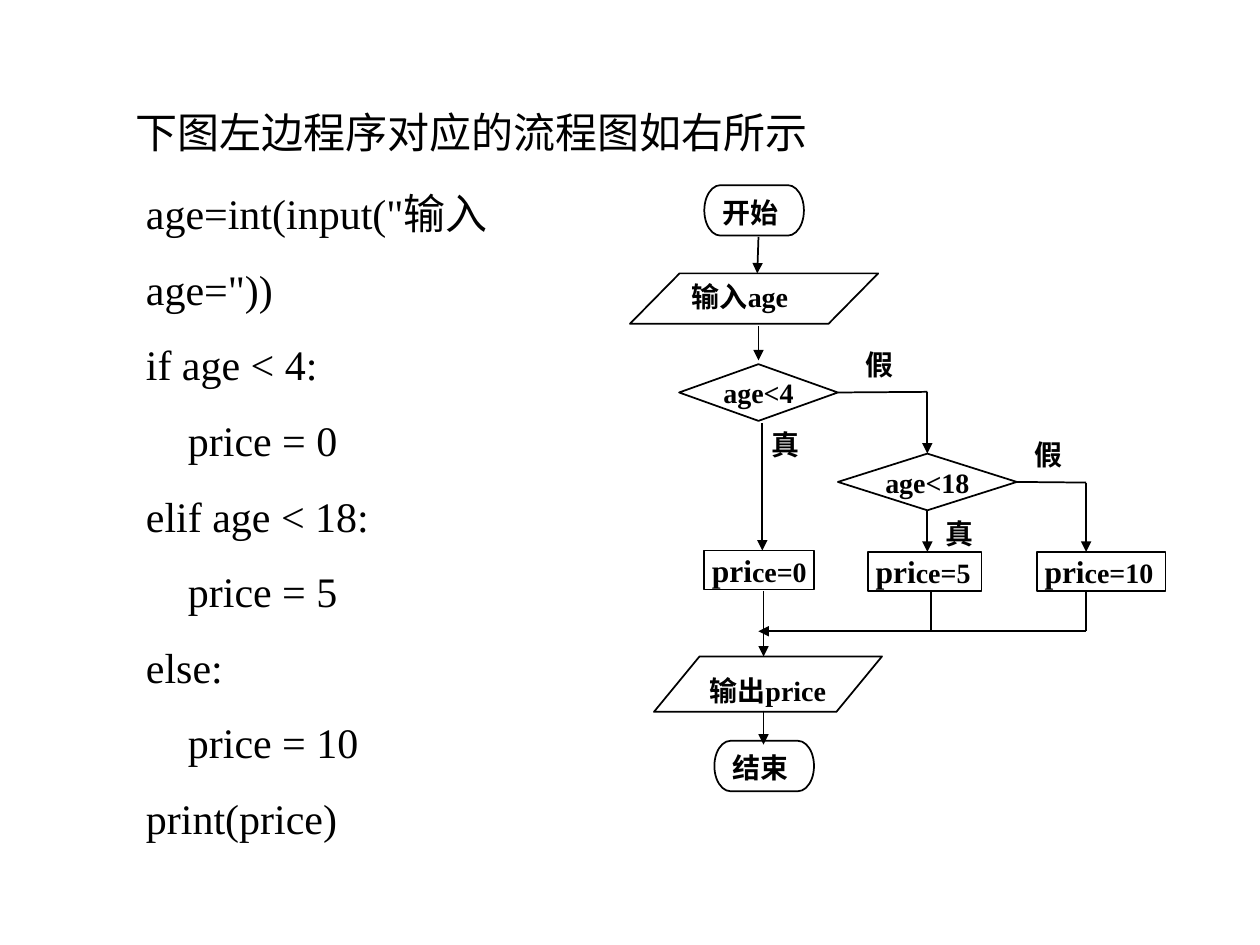
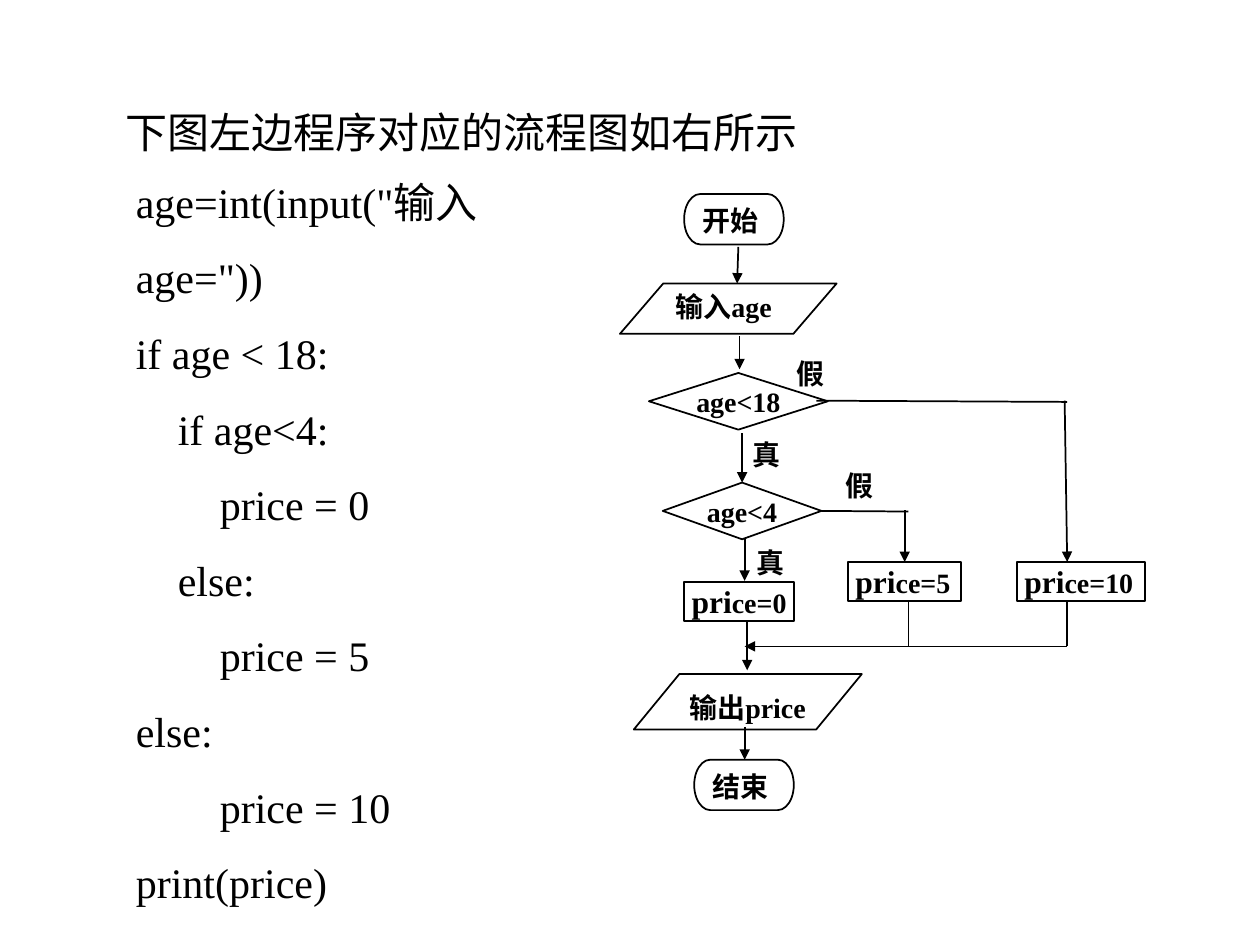
from lxml import etree
from pptx import Presentation
from pptx.dml.color import RGBColor
from pptx.enum import shapes, text
from pptx.oxml import ns
from pptx.util import Inches, Pt

INK = RGBColor(0, 0, 0)
PAPER = RGBColor(255, 255, 255)
LATIN, CHINESE = "Times New Roman", "Noto Sans CJK SC"
TITLE = "下图左边程序对应的流程图如右所示"
INDENT = 1 / 3  # one code level, in inches
FORM = shapes.MSO_SHAPE
TERMINATOR, DATA = FORM.FLOWCHART_TERMINATOR, FORM.FLOWCHART_DATA
TOP, BOTTOM, RIGHT = 0, 2, 3

# name: form, width, height, left and top inset, line spacing, runs of (words, size)
NODES = {
    "start": (TERMINATOR, 0.79, 0.4, (0.11, 0.02), 1, [("开始", 16)]),
    "input": (DATA, 1.97, 0.4, (0.1, 0.05), 1, [("输入age", 16)]),
    "age<4": (FORM.DIAMOND, 1.26, 0.45, (0, 0), 1, [("age<4", 16)]),
    "age<18": (FORM.DIAMOND, 1.42, 0.45, (0, 0), 1, [("age<18", 16)]),
    "price=0": (FORM.RECTANGLE, 0.87, 0.31, (0.06, 0), 1, [("pri", 18), ("ce=0", 16)]),
    "price=5": (FORM.RECTANGLE, 0.9, 0.31, (0.06, 0), 1, [("pri", 18), ("ce=5", 16)]),
    "price=10": (FORM.RECTANGLE, 1.02, 0.31, (0.06, 0), 1, [("pri", 18), ("ce=10", 16)]),
    "output": (DATA, 1.81, 0.44, (0.08, 0), 1.5, [("输出price", 16)]),
    "end": (TERMINATOR, 0.79, 0.4, (0.11, 0.02), 1, [("结束", 16)]),
}
# Columns that both charts share
COLUMNS = {"start": 0.59, "price=0": 0.59, "price=5": 1.89, "price=10": 3.23,
           "output": 0.19, "end": 0.67}

# Each program line is (level, words). Chart places are relative to its corner.
# A link end is a point or (node name, side).
ELIF_PAGE = {
    "title": (0.98, 0.6),
    "code_box": (1.06, 1.24, 3.9, 5.5),
    "code": [(0, 'age=int(input("输入age="))'), (0, "if age < 4:"), (1, "price = 0"),
             (0, "elif age < 18:"), (1, "price = 5"), (0, "else:"), (1, "price = 10"),
             (0, "print(price)")],
    "corner": (5, 1.47),
    "input_width": 1.97,
    "columns": {"input": 0, "age<4": 0.39, "age<18": 1.65},
    "rows": {"start": 0, "input": 0.7, "age<4": 1.42, "age<18": 2.13, "price=0": 2.9,
             "price=5": 2.91, "price=10": 2.91, "output": 3.74, "end": 4.41},
    "labels": [("真", 1.06, 1.89), ("假", 1.81, 1.26), ("真", 2.44, 2.6), ("假", 3.15, 1.97)],
    "arrows": [((1.02, 0.41), (1.01, 0.7)), ((1.02, 1.12), (1.02, 1.39)),
               ((1.05, 1.89), (1.05, 2.9)), ((2.36, 1.64), ("age<18", TOP)),
               (("age<18", BOTTOM), (2.36, 2.91)), ((3.62, 2.36), (3.62, 2.91)),
               ((3.62, 3.54), (1.02, 3.54)), ((1.06, 3.22), (1.06, 3.74)),
               ((1.06, 4.17), (1.06, 4.44))],
    "lines": [(("age<4", RIGHT), (2.36, 1.64)), (("age<18", RIGHT), (3.62, 2.36)),
              ((3.62, 3.22), (3.62, 3.54)), ((2.39, 3.23), (2.39, 3.54))],
}
NESTED_PAGE = {
    "title": (0.9, 0.6),
    "code_box": (0.98, 1.15, 3.8, 6.1),
    "code": [(0, 'age=int(input("输入age="))'), (0, "if age < 18:"), (1, "if age<4:"),
             (2, "price = 0"), (1, "else:"), (2, "price = 5"), (0, "else:"),
             (2, "price = 10"), (0, "print(price)")],
    "corner": (4.84, 1.54),
    "input_width": 1.72,
    "columns": {"input": 0.08, "age<4": 0.42, "age<18": 0.31},
    "rows": {"start": 0, "input": 0.71, "age<18": 1.42, "age<4": 2.29, "price=0": 3.08,
             "price=5": 2.92, "price=10": 2.92, "output": 3.81, "end": 4.49},
    "labels": [("真", 1.07, 1.9), ("假", 1.42, 1.26), ("真", 1.1, 2.76), ("假", 1.81, 2.15)],
    "arrows": [((1.02, 0.42), (1.01, 0.71)), ((1.03, 1.13), (1.03, 1.39)),
               ((1.05, 1.9), ("age<4", TOP)), ((3.61, 1.64), (3.63, 2.92)),
               ((2.34, 2.51), ("price=5", TOP)), ((1.07, 2.73), (1.07, 3.07)),
               ((3.63, 3.59), (1.07, 3.59)), ((1.09, 3.39), (1.09, 3.78)),
               ((1.07, 4.23), (1.07, 4.49))],
    "lines": [((1.64, 1.64), (3.63, 1.65)), (("age<4", RIGHT), (2.37, 2.52)),
              ((3.63, 3.24), (3.63, 3.59)), ((2.37, 3.23), (2.37, 3.59))],
}


def add_span(para, words, size, bold=False):
    span = para.add_run()
    span.text = words
    span.font.size, span.font.bold = Pt(size), bold
    span.font.name = LATIN
    span.font.color.rgb = INK
    east = etree.SubElement(span.font._element, ns.qn("a:ea"))
    east.set("typeface", CHINESE)


def add_text(page, place, lines):
    """Add 24 pt lines, each indented by its level."""
    box = page.shapes.add_textbox(*map(Inches, place))
    frame = box.text_frame
    frame.word_wrap = True
    for number, (level, words) in enumerate(lines):
        para = frame.add_paragraph() if number else frame.paragraphs[0]
        para.line_spacing = 1.5
        if level:
            para._p.get_or_add_pPr().set("marL", str(Inches(level * INDENT)))
        add_span(para, words, 24)


def add_block(page, form, place, inset, spacing, spans, outlined=True):
    block = page.shapes.add_shape(form, *map(Inches, place))
    block.shadow.inherit = False
    diamond = form == FORM.DIAMOND
    if diamond:
        block.fill.background()
    else:
        block.fill.solid()
        block.fill.fore_color.rgb = PAPER
    if outlined:
        block.line.color.rgb = INK
        block.line.width = Pt(1)
    else:
        block.line.fill.background()
    frame = block.text_frame
    frame.word_wrap = True
    frame.margin_left, frame.margin_top = map(Inches, inset)
    frame.margin_right = frame.margin_bottom = 0
    frame.vertical_anchor = text.MSO_ANCHOR.MIDDLE if diamond else text.MSO_ANCHOR.TOP
    para = frame.paragraphs[0]
    para.alignment = text.PP_ALIGN.CENTER if diamond else text.PP_ALIGN.LEFT
    para.line_spacing = spacing
    for words, size in spans:
        add_span(para, words, size, bold=True)
    return block


def add_link(page, corner, blocks, start, finish, arrow):
    def point(end):
        if end[0] in blocks:
            return 0, 0
        return [Inches(base + offset) for base, offset in zip(corner, end)]

    link = page.shapes.add_connector(shapes.MSO_CONNECTOR.STRAIGHT,
                                     *point(start), *point(finish))
    if start[0] in blocks:
        link.begin_connect(blocks[start[0]], start[1])
    if finish[0] in blocks:
        link.end_connect(blocks[finish[0]], finish[1])
    link.line.color.rgb = INK
    link.line.width = Pt(1)
    if arrow:
        etree.SubElement(link.line._get_or_add_ln(), ns.qn("a:tailEnd")).set("type", "triangle")
    etree.SubElement(link._element.spPr, ns.qn("a:effectLst"))


def add_flowchart(page, plan):
    left, top = corner = plan["corner"]
    for words, x, y in plan["labels"]:
        add_block(page, FORM.RECTANGLE, (left + x, top + y, 0.39, 0.31), (0.06, 0.03), 1,
                  [(words, 16)], outlined=False)
    columns = COLUMNS | plan["columns"]
    blocks = {}
    for name, (form, width, height, inset, spacing, spans) in NODES.items():
        if name == "input":
            width = plan["input_width"]
        place = (left + columns[name], top + plan["rows"][name], width, height)
        blocks[name] = add_block(page, form, place, inset, spacing, spans)
    for kind in ("lines", "arrows"):
        for start, finish in plan[kind]:
            add_link(page, corner, blocks, start, finish, kind == "arrows")


def add_program_page(deck, plan):
    page = deck.slides.add_slide(deck.slide_layouts[6])
    add_text(page, plan["code_box"], plan["code"])
    add_flowchart(page, plan)
    add_text(page, (*plan["title"], 5.6, 0.63), [(0, TITLE)])


def main():
    deck = Presentation()
    deck.slide_width, deck.slide_height = Inches(10), Inches(7.5)
    for plan in (ELIF_PAGE, NESTED_PAGE):
        add_program_page(deck, plan)
    deck.save("out.pptx")


if __name__ == "__main__":
    main()
